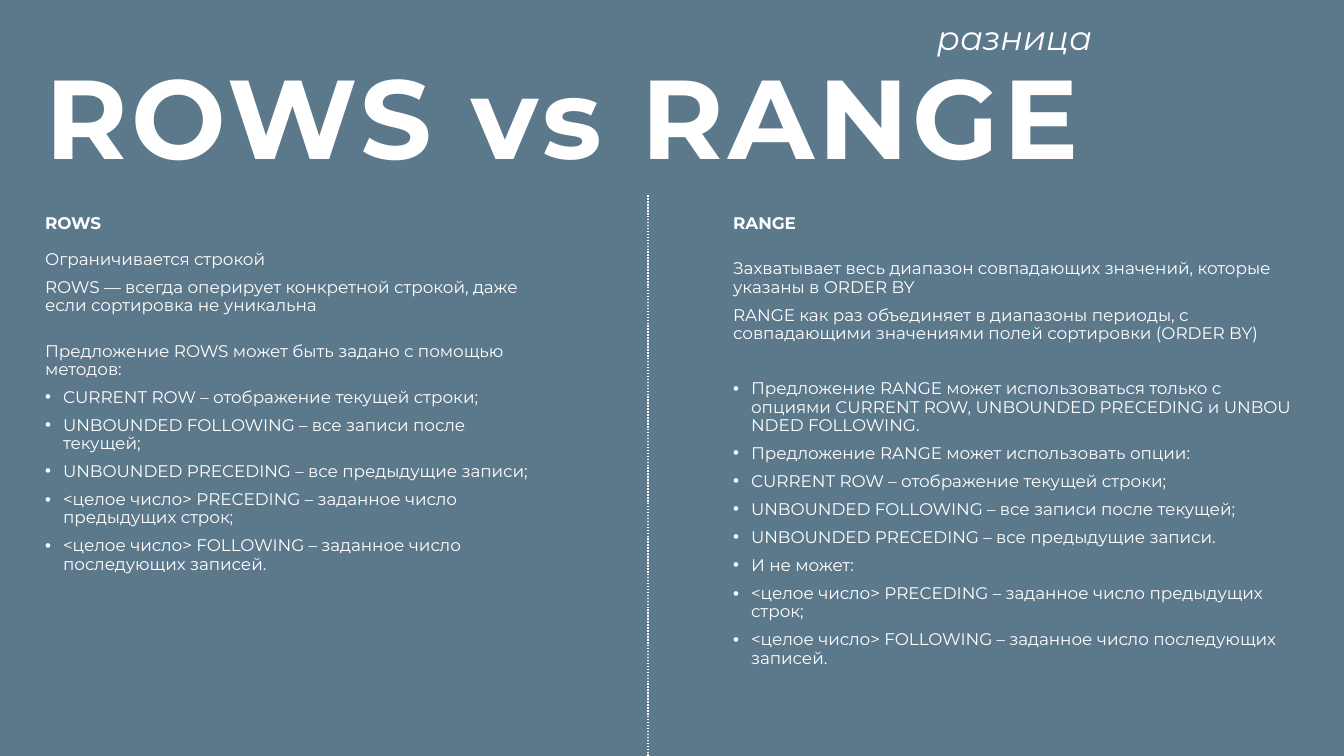
from lxml import etree
from pptx import Presentation
from pptx import util as u
from pptx.dml.color import RGBColor
from pptx.enum import dml, shapes, text
from pptx.oxml.ns import qn

PX = 914400 / 70.9
LINE = 18
GAP = 10
HARD = chr(160)


def px(n):
    return u.Emu(round(n * PX))


def color(code):
    return RGBColor.from_string(code)


def write(frame, words, font="Montserrat", size=17.1, ink="FFFFFF", bold=False,
          italic=False, track=0, bullet=False, before=GAP, first=False):
    para = frame.paragraphs[0] if first else frame.add_paragraph()
    props = para._p.get_or_add_pPr()
    indent = px(18) if bullet else 0
    props.set("marL", str(indent))
    props.set("indent", str(-indent))
    if bullet:
        etree.SubElement(props, qn("a:buFont")).set("typeface", "Arial")
        etree.SubElement(props, qn("a:buChar")).set("char", "•")
    else:
        etree.SubElement(props, qn("a:buNone"))
    para.alignment = text.PP_ALIGN.LEFT
    para.line_spacing = 0.9
    para.space_before = u.Pt(0 if first else before)
    para.space_after = u.Pt(0)
    run = para.add_run()
    run.text = words.replace("~", HARD)
    face = run.font
    face.name, face.size = font, u.Pt(size)
    face.bold, face.italic = bold, italic
    face.color.rgb = color(ink)
    if track:
        run._r.get_or_add_rPr().set("spc", str(round(track * 100)))


class Deck:
    back = "5C798C"
    ink = "FFFFFF"

    def __init__(self, wide, high):
        self.show = Presentation()
        self.show.slide_width, self.show.slide_height = px(wide), px(high)
        self.slide = self.show.slides.add_slide(self.show.slide_layouts[3])
        self.paint(self.slide.background.fill)

    def paint(self, fill):
        fill.solid()
        fill.fore_color.rgb = color(self.back)

    def place(self, shape, box):
        shape.left, shape.top, shape.width, shape.height = map(px, box)
        frame = shape.text_frame
        frame.word_wrap = True
        frame.auto_size = text.MSO_AUTO_SIZE.NONE
        frame.vertical_anchor = text.MSO_ANCHOR.TOP
        return frame

    def title(self, box, words, **style):
        shape = self.slide.shapes.title
        write(self.place(shape, box), words, first=True, **style)
        self.slide.shapes._spTree.append(shape._element)

    def label(self, box, words, **style):
        shape = self.slide.shapes.add_textbox(0, 0, 0, 0)
        write(self.place(shape, box), words, first=True, **style)

    def column(self, slot, box, head, items):
        frame = self.place(self.slide.placeholders[slot], box)
        write(frame, head, bold=True, first=True)
        for words, style in items:
            write(frame, words, **style)

    def rule(self, x, top, end):
        line = self.slide.shapes.add_connector(
            shapes.MSO_CONNECTOR.STRAIGHT, px(x), px(top), px(x), px(end))
        line.line.color.rgb = color(self.ink)
        line.line.width = u.Pt(1.5)
        line.line.dash_style = dml.MSO_LINE.ROUND_DOT
        etree.SubElement(line._element.spPr, qn("a:effectLst"))

    def block(self, box):
        shape = self.slide.shapes.add_shape(shapes.MSO_SHAPE.RECTANGLE, *map(px, box))
        shape.shadow.inherit = False
        self.paint(shape.fill)
        shape.line.fill.background()


def main():
    dot = {"bullet": True}
    rows = [
        ("Ограничивается строкой", {"before": LINE}),
        ("ROWS — всегда оперирует конкретной строкой, даже если сортировка не уникальна", {}),
        ("Предложение ROWS может быть задано с помощью методов:", {"before": GAP + LINE}),
        ("CURRENT ROW~– отображение текущей строки;", dot),
        ("UNBOUNDED FOLLOWING~– все записи после текущей;", dot),
        ("UNBOUNDED PRECEDING~– все предыдущие записи;", dot),
        ("<целое число>~PRECEDING~– заданное число предыдущих строк;", dot),
        ("<целое число>~FOLLOWING~– заданное число последующих записей.", dot),
    ]
    span = [
        ("Захватывает весь диапазон совпадающих значений, которые указаны в ORDER BY",
         {"before": GAP + LINE}),
        ("RANGE как раз объединяет в диапазоны периоды, с совпадающими значениями "
         "полей сортировки (ORDER BY)", {}),
        ("Предложение~RANGE~может использоваться только с опциями~CURRENT~ROW,~"
         "UNBOUNDED~PRECEDING~и~UNBOUNDED~FOLLOWING.",
         {"bullet": True, "before": 2 * GAP + LINE}),
        ("Предложение RANGE может использовать опции:", dot),
        ("CURRENT ROW~– отображение текущей строки;", dot),
        ("UNBOUNDED FOLLOWING~– все записи после текущей;", dot),
        ("UNBOUNDED PRECEDING~– все предыдущие записи.", dot),
        ("И не может:", dot),
        ("<целое число>~PRECEDING~– заданное число предыдущих строк;", dot),
        ("<целое число>~FOLLOWING~– заданное число последующих записей.", dot),
    ]
    deck = Deck(1344, 756)
    deck.label((930, 18, 193, 52), "разница", size=34.1, italic=True)
    deck.rule(648, 0, 756)
    deck.block((593, 0, 89, 195))
    deck.title((38, 59, 1173, 180), "ROWS vs RANGE", size=113.8, bold=True, track=4.3)
    deck.column(1, (38, 211, 515, 368), "ROWS", rows)
    deck.column(2, (726, 211, 580, 368), "RANGE", span)
    deck.show.save("out.pptx")


if __name__ == "__main__":
    main()
